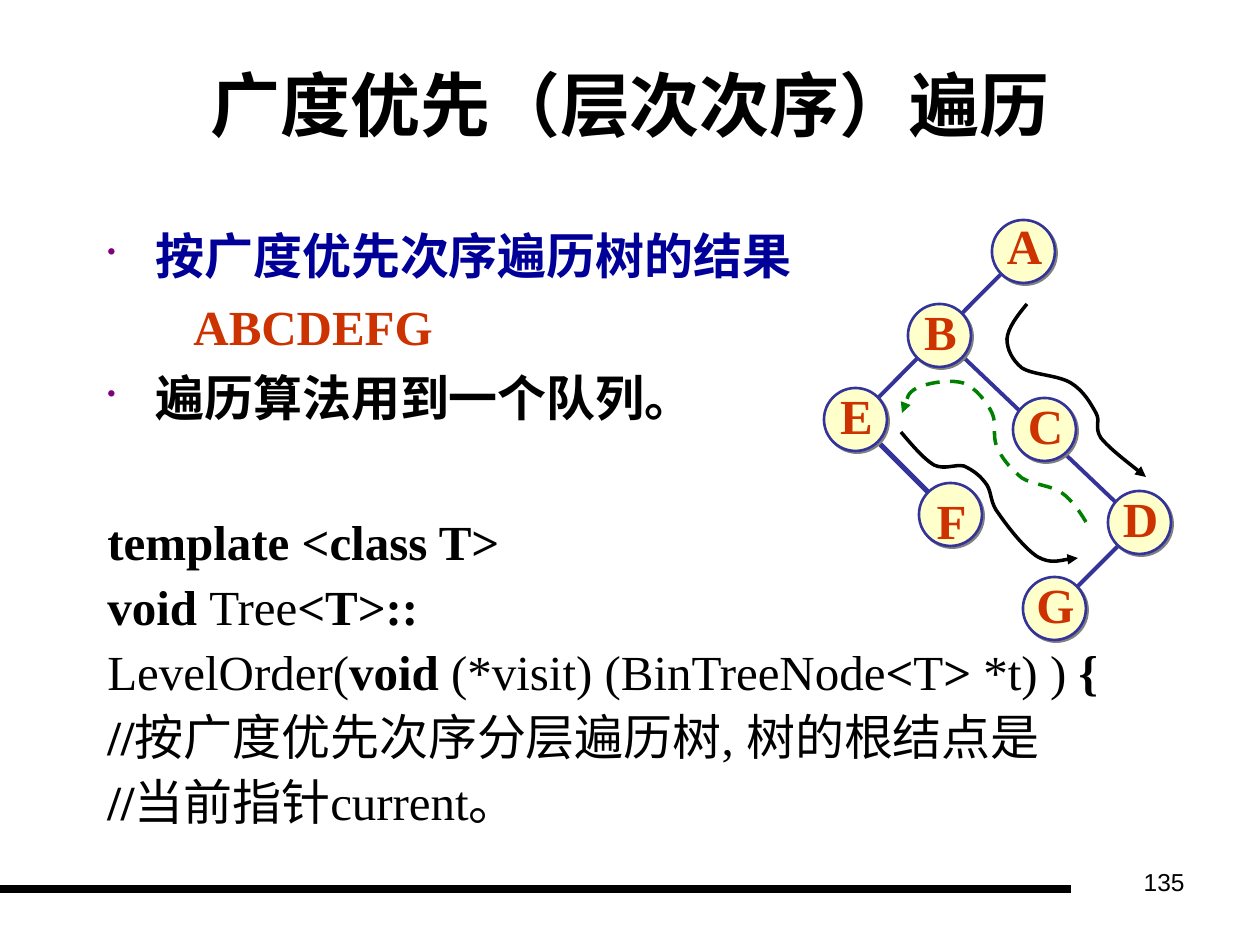
import pptx
import pptx.util
import pptx.dml.color
import pptx.enum.text
import pptx.enum.shapes
import pptx.enum.dml
import pptx.oxml
import pptx.oxml.ns

PX = 914400 / 126
NS = pptx.oxml.ns.nsdecls("a")
qn = pptx.oxml.ns.qn
ALIGN = pptx.enum.text.PP_ALIGN
MID = pptx.enum.text.MSO_ANCHOR.MIDDLE
OVAL = pptx.enum.shapes.MSO_SHAPE.OVAL
LINE = pptx.enum.shapes.MSO_CONNECTOR.STRAIGHT
DASH = pptx.enum.dml.MSO_LINE.DASH
Pt = pptx.util.Pt
Rgb = pptx.dml.color.RGBColor.from_string

theme = {
    "ink": Rgb("000000"), "head": Rgb("000099"), "hot": Rgb("CC3300"),
    "edge": Rgb("333399"), "node": Rgb("FFFFCC"), "back": Rgb("008000"),
    "dot": "800080", "shade": "808080",
    "serif": "Times New Roman", "sans": "Arial", "cjk": "Noto Sans CJK JP",
    "title": Pt(40), "body": Pt(28), "page": Pt(14),
}

deck = pptx.Presentation()
deck.slide_width, deck.slide_height = round(1260 * PX), round(945 * PX)
slide = deck.slides.add_slide(deck.slide_layouts[6])
shapes = slide.shapes


def emu(*nums):
    return [round(n * PX) for n in nums]


def write(para, text, color, size="body", face="serif", bold=True):
    """Add one run, with the CJK face for Chinese characters."""
    run = para.add_run()
    run.text = text
    style = {"name": theme[face], "size": theme[size], "bold": bold}
    for key, val in style.items():
        setattr(run.font, key, val)
    run.font.color.rgb = theme[color]
    run.font._element.find(qn("a:latin")).addnext(pptx.oxml.parse_xml(
        f'<a:ea {NS} typeface="{theme["cjk"]}"/>'))


# Footer, page number and title
rule = shapes.add_connector(LINE, *emu(0, 889, 1071, 889))
rule.line.color.rgb = theme["ink"]
rule.line.width = Pt(4.5)
rule._element.spPr.append(pptx.oxml.parse_xml(f"<a:effectLst {NS}/>"))

page = shapes.add_textbox(*emu(903, 861, 294, 66)).text_frame
page.word_wrap = True
page.paragraphs[0].alignment = ALIGN.RIGHT
write(page.paragraphs[0], "135", "ink", "page", "sans", False)

title = shapes.add_textbox(*emu(63, 38, 1134, 130)).text_frame
title.word_wrap = True
title.vertical_anchor = MID
title.paragraphs[0].alignment = ALIGN.CENTER
write(title.paragraphs[0], "广度优先（层次次序）遍历", "ink", "title", "cjk")

# Body: kind of line, colour, space before, then (text, bold) runs
lines = [
    ("bullet", "head", 0, [("按广度优先次序遍历树的结果", True)]),
    ("result", "hot", 7, [("ABCDEFG", True)]),
    ("bullet", "ink", 7, [("遍历算法用到一个队列。", True)]),
    ("code", "ink", 47, [("template <class T>", True)]),
    ("code", "ink", 1.8, [("void ", True), ("Tree", False), ("<T>::", True)]),
    ("code", "ink", 1.8, [
        ("LevelOrder(", False), ("void", True),
        (" (*visit) (BinTreeNode", False), ("<", True), ("T", False),
        (">", True), (" *t) ) ", False), ("{", True)]),
    ("code", "ink", 1.8, [
        ("//", True), ("按广度优先次序分层遍历树, 树的根结点是", False)]),
    ("code", "ink", 1.8, [("//", True), ("当前指针current。", False)]),
]
indents = {"bullet": (48, -48), "result": (86, 0), "code": (48, -48)}
body = shapes.add_textbox(*emu(95, 219, 1052, 660)).text_frame
body.word_wrap = True
for num, (kind, color, gap, runs) in enumerate(lines):
    para = body.add_paragraph() if num else body.paragraphs[0]
    para.space_before = Pt(gap)
    if kind == "code":
        para.line_spacing = 1.05
    props = para._element.get_or_add_pPr()
    for key, val in zip(("marL", "indent"), emu(*indents[kind])):
        props.set(key, str(val))
    marks = ["<a:buNone {}/>"]
    if kind == "bullet":
        marks = ['<a:buClr {}><a:srgbClr val="' + theme["dot"] + '"/></a:buClr>',
                 '<a:buSzPct {} val="50000"/>', '<a:buChar {} char="•"/>']
    for mark in marks:
        props.append(pptx.oxml.parse_xml(mark.format(NS)))
    for text, bold in runs:
        write(para, text, color, bold=bold)

# Tree edges
edges = [(1128, 536, 1065, 599, 2.25), (866, 430, 929, 493, 3),
         (1013, 262, 866, 410, 2.25), (960, 354, 1128, 514, 2.25)]
for *ends, width in edges:
    edge = shapes.add_connector(LINE, *emu(*ends))
    edge.line.color.rgb = theme["edge"]
    edge.line.width = Pt(width)
    edge._element.spPr.append(pptx.oxml.parse_xml(f"<a:effectLst {NS}/>"))

# Tree nodes: name, left, top, and the label's shift down from the centre
SIZE, TALL = 63, 72
nodes = [("A", 992, 220, -7), ("B", 908, 304, -5), ("C", 1013, 398, -5),
         ("D", 1108, 491, -5), ("E", 824, 388, -5), ("F", 919, 483, 5),
         ("G", 1023, 577, -5)]
for name, left, top, shift in nodes:
    node = shapes.add_shape(OVAL, *emu(left, top, SIZE, SIZE))
    node.fill.solid()
    node.fill.fore_color.rgb = theme["node"]
    node.line.color.rgb = theme["edge"]
    node.line.width = Pt(1.5)
    node._element.spPr.append(pptx.oxml.parse_xml(
        f'<a:effectLst {NS}><a:outerShdw dist="{Pt(1.4)}" dir="2700000">'
        f'<a:srgbClr val="{theme["shade"]}"/></a:outerShdw></a:effectLst>'))
    high = top + shift + (SIZE - TALL) / 2
    label = shapes.add_textbox(*emu(left + 1, high, SIZE, TALL)).text_frame
    label.word_wrap = False
    label.vertical_anchor = MID
    label.paragraphs[0].alignment = ALIGN.CENTER
    write(label.paragraphs[0], name, "hot")

# Visiting order: a start, then Bezier points in threes
trails = [
    ("ink", None, [
        (1027, 304), (1017, 316), (1008, 328), (1007, 339),
        (1007, 349), (1012, 360), (1022, 368), (1033, 375), (1058, 375),
        (1071, 383), (1084, 391), (1091, 404), (1096, 413),
        (1101, 422), (1094, 427), (1101, 438), (1110, 449), (1139, 471),
        (1146, 477)]),
    ("back", DASH, [
        (1086, 522), (1080, 512), (1072, 500), (1062, 493),
        (1051, 485), (1033, 485), (1022, 478), (1012, 470), (1002, 459),
        (997, 447), (992, 436), (997, 423), (992, 413), (987, 402),
        (975, 387), (963, 383), (950, 379), (927, 383), (917, 388),
        (907, 393), (905, 408), (902, 413)]),
    ("ink", None, [
        (901, 432), (912, 445), (924, 459), (934, 465), (945, 470),
        (955, 464), (964, 466), (973, 470), (981, 476), (987, 485),
        (992, 493), (990, 503), (999, 514), (1008, 527), (1025, 549),
        (1038, 557), (1051, 564), (1071, 558), (1078, 558)]),
]
for color, dash, spots in trails:
    pen = shapes.build_freeform(*spots[0], scale=PX)
    pen.add_line_segments(spots[1:], close=False)
    trail = pen.convert_to_shape()
    trail.shadow.inherit = False
    trail.fill.background()
    trail.line.color.rgb = theme[color]
    trail.line.width = Pt(2)
    trail.line.dash_style = dash
    trail.line._get_or_add_ln().append(
        pptx.oxml.parse_xml(f'<a:tailEnd {NS} type="triangle"/>'))
    route = trail._element.spPr.find(".//" + qn("a:path"))
    steps = route.findall(qn("a:lnTo"))
    for first in range(0, len(steps), 3):
        curve = pptx.oxml.parse_xml(f"<a:cubicBezTo {NS}/>")
        for step in steps[first:first + 3]:
            curve.append(step[0])
            route.remove(step)
        route.append(curve)

deck.save("out.pptx")
